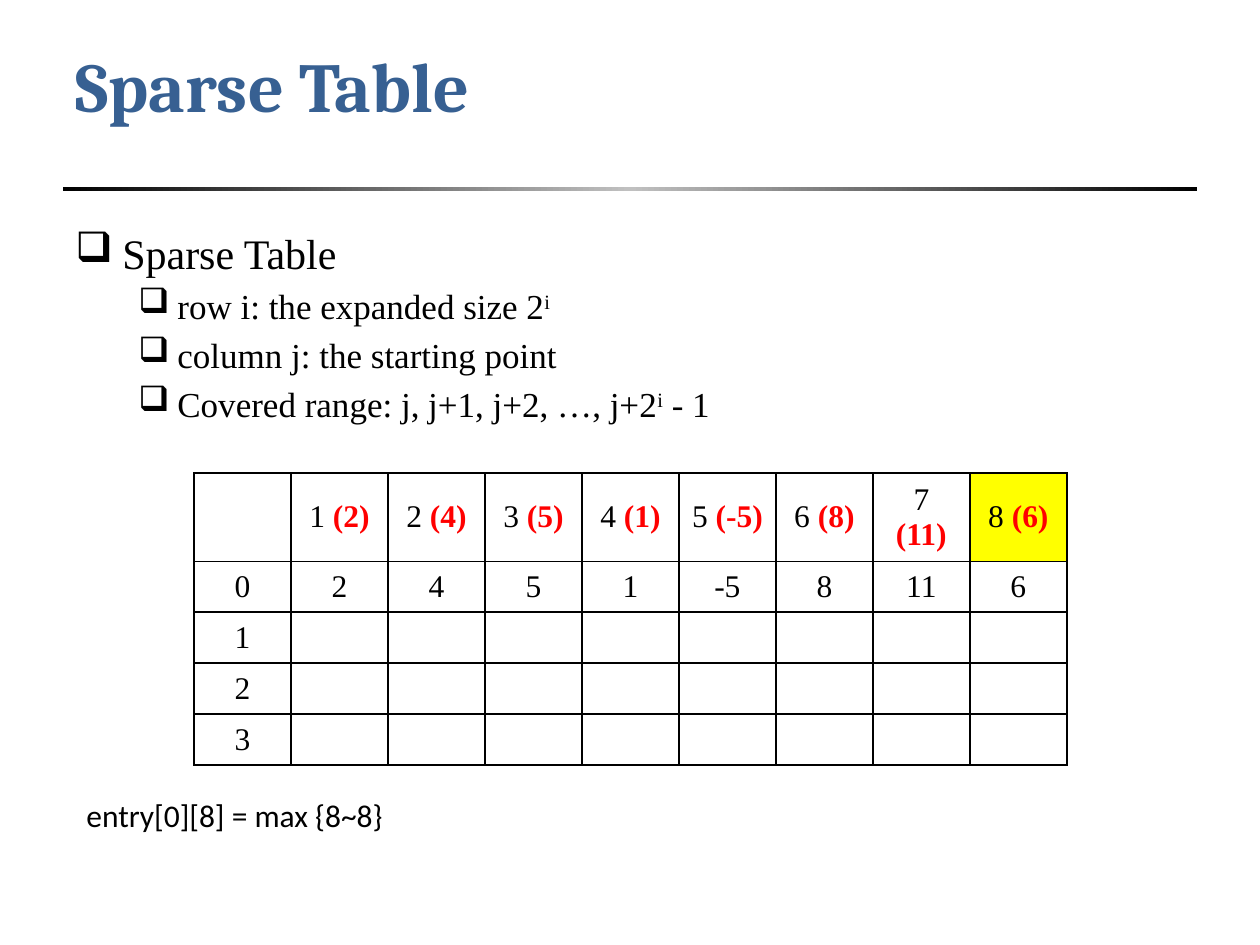
from copy import deepcopy

from lxml import etree
from pptx import Presentation
from pptx.dml.color import RGBColor
from pptx.enum.shapes import MSO_SHAPE
from pptx.enum.text import MSO_ANCHOR, PP_ALIGN
from pptx.oxml.ns import qn
from pptx.util import Emu, Pt

RECTANGLE = MSO_SHAPE.RECTANGLE
TOP, MIDDLE = MSO_ANCHOR.TOP, MSO_ANCHOR.MIDDLE
CENTER = PP_ALIGN.CENTER
SCALE = 914400 / 126
SERIF = "Times New Roman"
BLACK, RED, YELLOW = "000000", "FF0000", "FFFF00"

VALUES = [2, 4, 5, 1, -5, 8, 11, 6]
LEVELS = 4
ACTIVE_COLUMN = 8
POINTS = [
    (0, [("Sparse Table", 0)]),
    (1, [("row i: the expanded size 2", 0), ("i", 30)]),
    (1, [("column j: the starting point", 0)]),
    (1, [("Covered range: j, j+1, j+2, …, j+2", 0), ("i", 30), (" - 1", 0)]),
]
POINT_STYLES = [(24, 47, 47), (20, 102, 39)]


def px(length):
    """Turn a length in px into EMU."""
    return Emu(round(length * SCALE))


def color(hex_code):
    """Turn a hex string into a colour."""
    return RGBColor.from_string(hex_code)


def add_text(paragraph, text, size=18, font=SERIF, ink=BLACK, bold=False, raised=0):
    """Add a formatted run to a paragraph."""
    run = paragraph.add_run()
    run.text = text
    run.font.size = Pt(size)
    run.font.name = font
    run.font.bold = bold
    run.font.color.rgb = color(ink)
    if raised:
        run.font._element.set("baseline", str(raised * 1000))


def add_frame(slide, box, anchor=TOP):
    """Add an empty wrapping text box and return its text frame."""
    frame = slide.shapes.add_textbox(*map(px, box)).text_frame
    frame.word_wrap = True
    frame.vertical_anchor = anchor
    return frame


def add_header(slide, box):
    """Place the title with the gradient rule below it."""
    left, top, width, height = box
    title = add_frame(slide, (left, top, width, 93), MIDDLE)
    add_text(title.paragraphs[0], "Sparse Table", size=40, font="Cambria", ink="376092", bold=True)
    rule = slide.shapes.add_shape(RECTANGLE, *map(px, (left, top + height - 4, width, 4)))
    rule.shadow.inherit = False
    rule.line.fill.background()
    rule.fill.gradient()
    rule.fill.gradient_angle = 0
    stop_list = rule._element.spPr.find(".//" + qn("a:gsLst"))
    stop_list.append(deepcopy(stop_list[0]))
    for stop, position, shade in zip(rule.fill.gradient_stops, (0, 0.5, 1), (BLACK, "C0C0C0", BLACK)):
        stop.position = position
        stop.color.rgb = color(shade)


def add_points(slide, box):
    """Place the bulleted description of the table."""
    frame = add_frame(slide, box)
    for index, (level, parts) in enumerate(POINTS):
        point = frame.add_paragraph() if index else frame.paragraphs[0]
        size, margin, hanging = POINT_STYLES[level]
        point.level = level
        properties = point._p.get_or_add_pPr()
        properties.set("marL", str(px(margin)))
        properties.set("indent", str(-px(hanging)))
        etree.SubElement(properties, qn("a:buChar"), char="❑")
        point.space_before = Pt(size * 0.2 if index else 0)
        for text, raised in parts:
            add_text(point, text, size=size, raised=raised)


def style_cell(cell, fill=None):
    """Give a cell black borders, a fill and centred text."""
    properties = cell._tc.get_or_add_tcPr()
    for side in ("lnL", "lnR", "lnT", "lnB"):
        border = etree.SubElement(properties, qn(f"a:{side}"), w=str(Pt(1)))
        solid = etree.SubElement(border, qn("a:solidFill"))
        etree.SubElement(solid, qn("a:srgbClr"), val=BLACK)
    if fill:
        cell.fill.solid()
        cell.fill.fore_color.rgb = color(fill)
    else:
        cell.fill.background()
    cell.vertical_anchor = MIDDLE
    cell.text_frame.paragraphs[0].alignment = CENTER


def add_sparse_table(slide, box):
    """Place the table with its header, level numbers and first level."""
    table = slide.shapes.add_table(LEVELS + 1, len(VALUES) + 1, *map(px, box)).table
    table.first_row = table.horz_banding = False
    for row_index, row in enumerate(table.rows):
        for column_index, cell in enumerate(row.cells):
            active = row_index == 0 and column_index == ACTIVE_COLUMN
            style_cell(cell, YELLOW if active else None)
            entry = cell.text_frame.paragraphs[0]
            if column_index == 0:
                if row_index:
                    add_text(entry, str(row_index - 1))
            elif row_index == 0:
                add_text(entry, f"{column_index} ")
                add_text(entry, f"({VALUES[column_index - 1]})", ink=RED, bold=True)
            elif row_index == 1:
                add_text(entry, str(VALUES[column_index - 1]))


def add_formula(slide, box):
    """Place the formula of the current entry."""
    add_text(add_frame(slide, box).paragraphs[0], "entry[0][8] = max {8~8}", font="Calibri")


def main():
    """Build the slide and save it."""
    deck = Presentation()
    deck.slide_width, deck.slide_height = px(1260), px(945)
    slide = deck.slides.add_slide(deck.slide_layouts[6])
    add_header(slide, (63, 38, 1134, 153))
    add_sparse_table(slide, (194, 473, 873, 255))
    add_points(slide, (63, 221, 1134, 271))
    add_formula(slide, (74, 790, 863, 50))
    deck.save("out.pptx")


if __name__ == "__main__":
    main()
